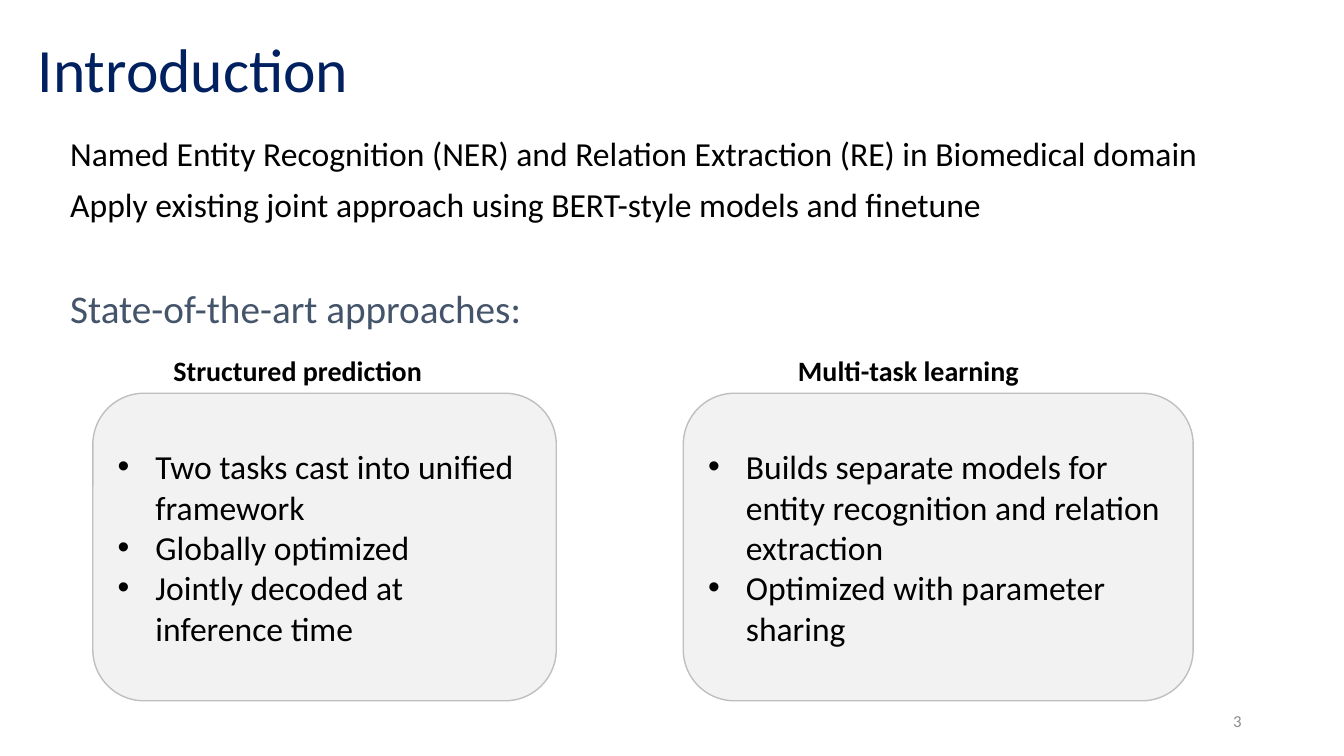
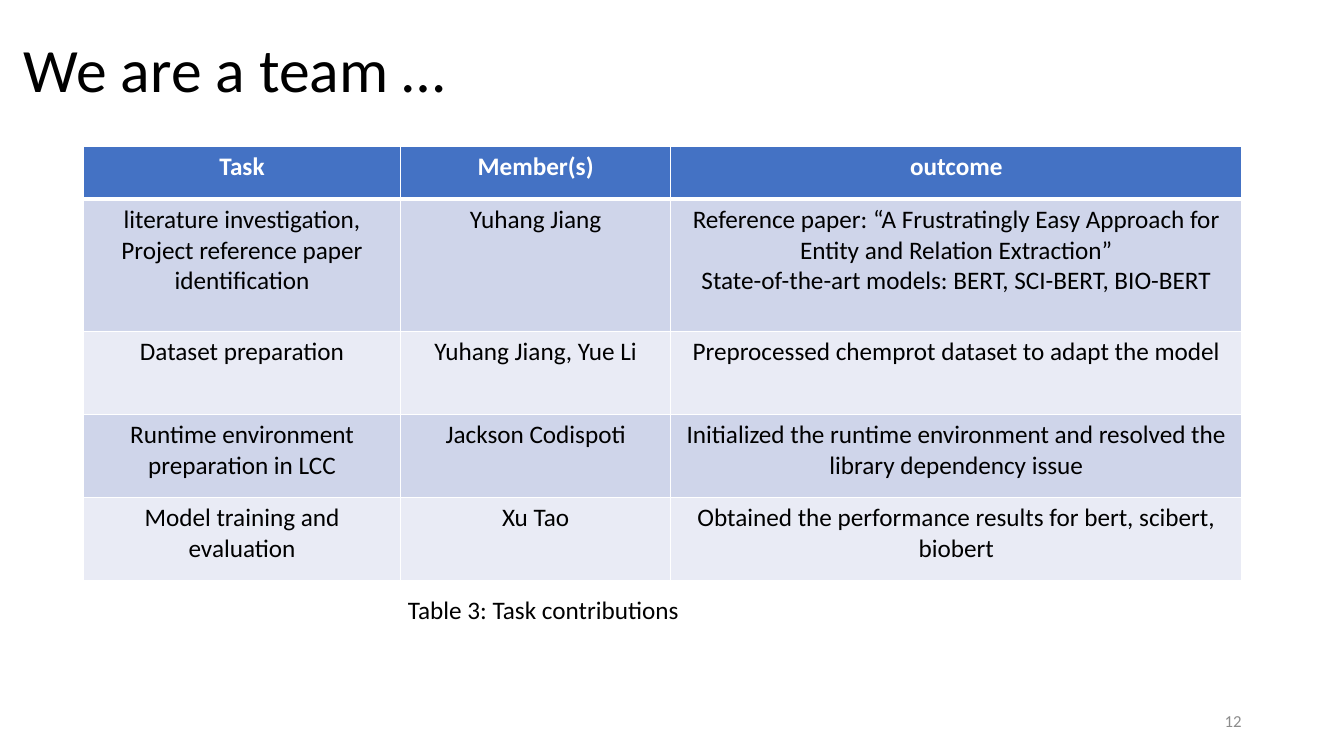
import pptx
import pptx.dml.color
import pptx.enum.shapes
import pptx.enum.text
import pptx.util
from lxml import etree
from pptx.oxml import ns

Cm = pptx.util.Cm
Pt = pptx.util.Pt
RGBColor = pptx.dml.color.RGBColor
Align = pptx.enum.text.PP_ALIGN
Anchor = pptx.enum.text.MSO_ANCHOR

BLACK = RGBColor(0x00, 0x00, 0x00)
WHITE = RGBColor(0xFF, 0xFF, 0xFF)
NAVY = RGBColor(0x00, 0x20, 0x60)
SLATE = RGBColor(0x44, 0x54, 0x6A)
PAGE_GREY = RGBColor(0x8C, 0x8C, 0x8C)
CARD_FILL = RGBColor(0xF2, 0xF2, 0xF2)
CARD_LINE = RGBColor(0xBF, 0xBF, 0xBF)
HEADER_BLUE = RGBColor(0x44, 0x72, 0xC4)
ROW_FILLS = (RGBColor(0xCF, 0xD5, 0xEA), RGBColor(0xE9, 0xEB, 0xF5))

FONT = "Calibri"
TITLE = {"size": Pt(44)}
BODY = {"size": Pt(24), "color": BLACK}
SECTION = {"size": Pt(28), "color": SLATE}
CARD_HEADING = {"size": Pt(20), "color": BLACK, "bold": True}
TABLE_TEXT = {"size": Pt(18), "color": BLACK, "bold": False}
TABLE_HEADER = {"size": Pt(18), "color": WHITE, "bold": True}
PAGE_NUMBER = {"size": Pt(12), "color": PAGE_GREY}
TIGHT = {"line_spacing": 0.9}
CENTERED = {"alignment": Align.CENTER}

BULLET_INDENT = Cm(0.95)
HEADING_HEIGHT = Cm(1.12)


def set_attributes(target, values):
    for name, value in values.items():
        setattr(target, name, value)


def format_paragraph(paragraph, text, font_format, paragraph_format):
    run = paragraph.add_run()
    run.text = text
    font_values = {"name": FONT, **font_format}
    run.font.color.rgb = font_values.pop("color")
    set_attributes(run.font, font_values)
    set_attributes(paragraph, paragraph_format)


def fill_text(frame, lines, font_format, paragraph_format):
    """Write each line as a paragraph and return the paragraphs."""
    for index, line in enumerate(lines):
        paragraph = frame.add_paragraph() if index else frame.paragraphs[0]
        format_paragraph(paragraph, line, font_format, paragraph_format)
    return frame.paragraphs


def add_text(slide, box, lines, font_format, paragraph_format=None, anchor=Anchor.TOP, wrap=True):
    frame = slide.shapes.add_textbox(*box).text_frame
    set_attributes(frame, {"word_wrap": wrap, "vertical_anchor": anchor})
    fill_text(frame, lines, font_format, paragraph_format or {})
    return frame


def add_base_slide(presentation, title, title_color, title_left, number):
    """Add a blank slide with the shared title and page number."""
    slide = presentation.slides.add_slide(presentation.slide_layouts[6])
    add_text(slide, (title_left, Cm(0), Cm(28.5), Cm(3.68)), [title],
             {**TITLE, "color": title_color}, TIGHT, Anchor.MIDDLE)
    add_text(slide, (Cm(23.92), Cm(17.65), Cm(7.62), Cm(1.01)), [number],
             PAGE_NUMBER, {"alignment": Align.RIGHT}, Anchor.MIDDLE)
    return slide


def add_summary(slide, box, lines, section):
    spacing = {**TIGHT, "space_before": Pt(10)}
    frame = add_text(slide, box, lines, BODY, spacing)
    format_paragraph(frame.add_paragraph(), section, SECTION, {**TIGHT, "space_before": Pt(46.4)})


def add_bullet(paragraph):
    properties = paragraph._p.get_or_add_pPr()
    properties.set("marL", str(BULLET_INDENT))
    properties.set("indent", str(-BULLET_INDENT))
    font = etree.SubElement(properties, ns.qn("a:buFont"))
    font.set("typeface", "Arial")
    etree.SubElement(properties, ns.qn("a:buChar")).set("char", "•")


def add_approach_card(slide, box, heading, heading_offset, heading_width, points):
    """Add a rounded card of bullets with its heading standing on the top edge."""
    left, top, width, height = box
    card = slide.shapes.add_shape(
        pptx.enum.shapes.MSO_SHAPE.ROUNDED_RECTANGLE, left, top, width, height)
    card.shadow.inherit = False
    card.fill.solid()
    card.fill.fore_color.rgb = CARD_FILL
    card.line.color.rgb = CARD_LINE
    card.line.width = Pt(1)
    frame = card.text_frame
    set_attributes(frame, {"word_wrap": True, "vertical_anchor": Anchor.MIDDLE})
    for paragraph in fill_text(frame, points, BODY, {"alignment": Align.LEFT}):
        add_bullet(paragraph)
    add_text(slide, (left + heading_offset, top - HEADING_HEIGHT, heading_width, HEADING_HEIGHT),
             [heading], CARD_HEADING, wrap=False)


def set_cell_borders(cell, bottom_width, top_width):
    properties = cell._tc.get_or_add_tcPr()
    widths = {"lnL": Pt(1), "lnR": Pt(1), "lnT": top_width, "lnB": bottom_width}
    for tag, width in widths.items():
        border = etree.SubElement(properties, ns.qn(f"a:{tag}"), w=str(width))
        fill = etree.SubElement(border, ns.qn("a:solidFill"))
        etree.SubElement(fill, ns.qn("a:srgbClr"), val=str(WHITE))


def add_task_table(slide, left, top, column_widths, row_heights, rows):
    table = slide.shapes.add_table(len(rows), len(column_widths), left, top,
                                   sum(column_widths), sum(row_heights)).table
    for column, width in zip(table.columns, column_widths):
        column.width = width
    for row_index, (row, height, texts) in enumerate(zip(table.rows, row_heights, rows)):
        row.height = height
        is_header = row_index == 0
        for cell, text in zip(row.cells, texts):
            set_cell_borders(cell, bottom_width=Pt(3 if is_header else 1),
                             top_width=Pt(3 if row_index == 1 else 1))
            cell.fill.solid()
            cell.fill.fore_color.rgb = HEADER_BLUE if is_header else ROW_FILLS[(row_index - 1) % 2]
            fill_text(cell.text_frame, text.split("\n"),
                      TABLE_HEADER if is_header else TABLE_TEXT, CENTERED)


def build_introduction(presentation):
    slide = add_base_slide(presentation, "Introduction", NAVY, Cm(0.7), "3")
    add_summary(slide, (Cm(1.52), Cm(3.35), Cm(29.21), Cm(5.4)), [
        "Named Entity Recognition (NER) and Relation Extraction (RE) in Biomedical domain",
        "Apply existing joint approach using BERT-style models and finetune",
    ], "State-of-the-art approaches:")
    card_top, card_height = Cm(9.91), Cm(7.75)
    add_approach_card(
        slide, (Cm(2.34), card_top, Cm(11.68), card_height),
        "Structured prediction", Cm(1.78), Cm(6.83),
        ["Two tasks cast into unified framework", "Globally optimized",
         "Jointly decoded at inference time"])
    add_approach_card(
        slide, (Cm(17.22), card_top, Cm(12.85), card_height),
        "Multi-task learning", Cm(2.64), Cm(6.12),
        ["Builds separate models for entity recognition and relation extraction",
         "Optimized with parameter sharing"])


def build_team(presentation):
    slide = add_base_slide(presentation, "We are a team …", BLACK, Cm(0.35), "12")
    rows = [
        ("Task", "Member(s)", "outcome"),
        ("literature investigation,\nProject reference paper identification",
         "Yuhang Jiang",
         "Reference paper: “A Frustratingly Easy Approach for Entity and Relation Extraction”\n"
         "State-of-the-art models: BERT, SCI-BERT, BIO-BERT"),
        ("Dataset preparation", "Yuhang Jiang, Yue Li",
         "Preprocessed chemprot dataset to adapt the model"),
        ("Runtime environment preparation in LCC", "Jackson Codispoti",
         "Initialized the runtime environment and resolved the library dependency issue"),
        ("Model training and evaluation", "Xu Tao",
         "Obtained the performance results for bert, scibert, biobert"),
    ]
    add_task_table(slide, Cm(2.1), Cm(3.7), [Cm(8), Cm(6.8), Cm(14.4)],
                   [Cm(1.32), Cm(3.34)] + [Cm(2.09)] * 3, rows)
    add_text(slide, (Cm(10.03), Cm(14.86), Cm(20.83), Cm(1.02)),
             ["Table 3: Task contributions"], TABLE_TEXT)


def main():
    presentation = pptx.Presentation()
    set_attributes(presentation, {"slide_width": Cm(33.87), "slide_height": Cm(19.05)})
    build_introduction(presentation)
    build_team(presentation)
    presentation.save("out.pptx")


if __name__ == "__main__":
    main()
